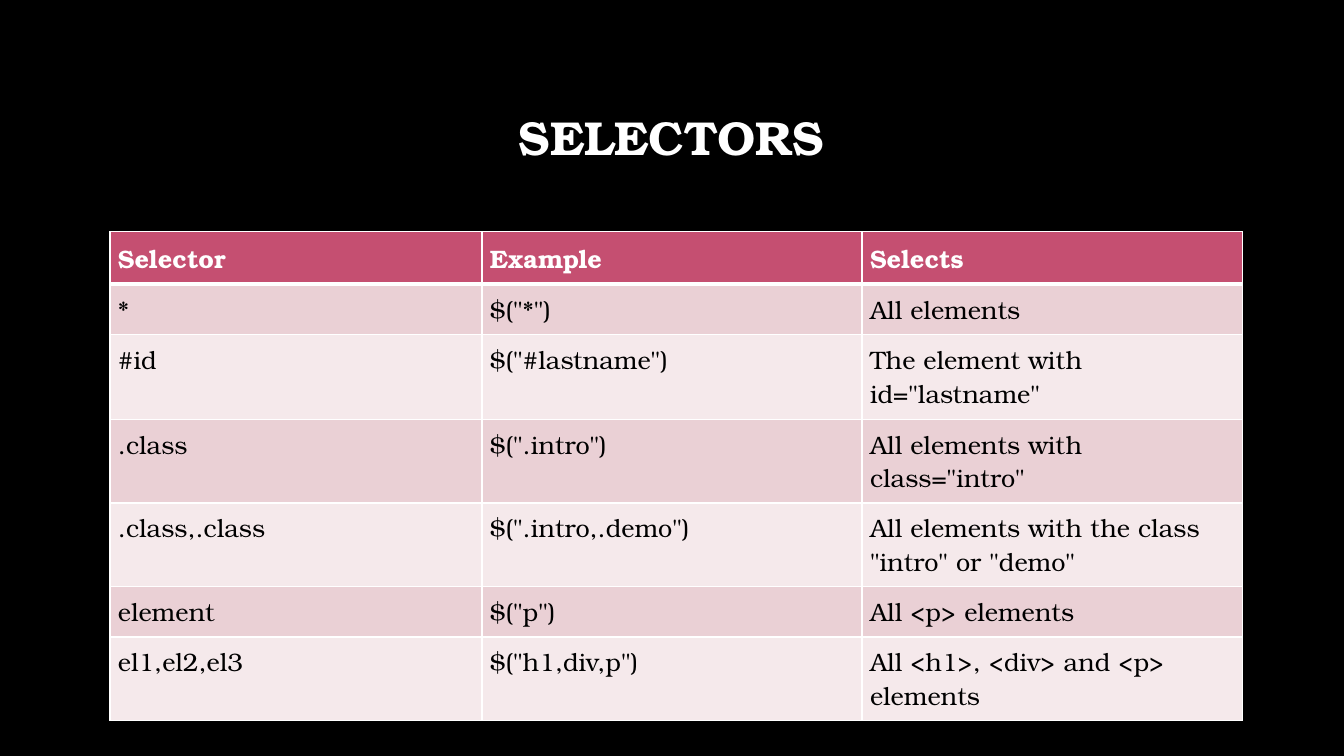
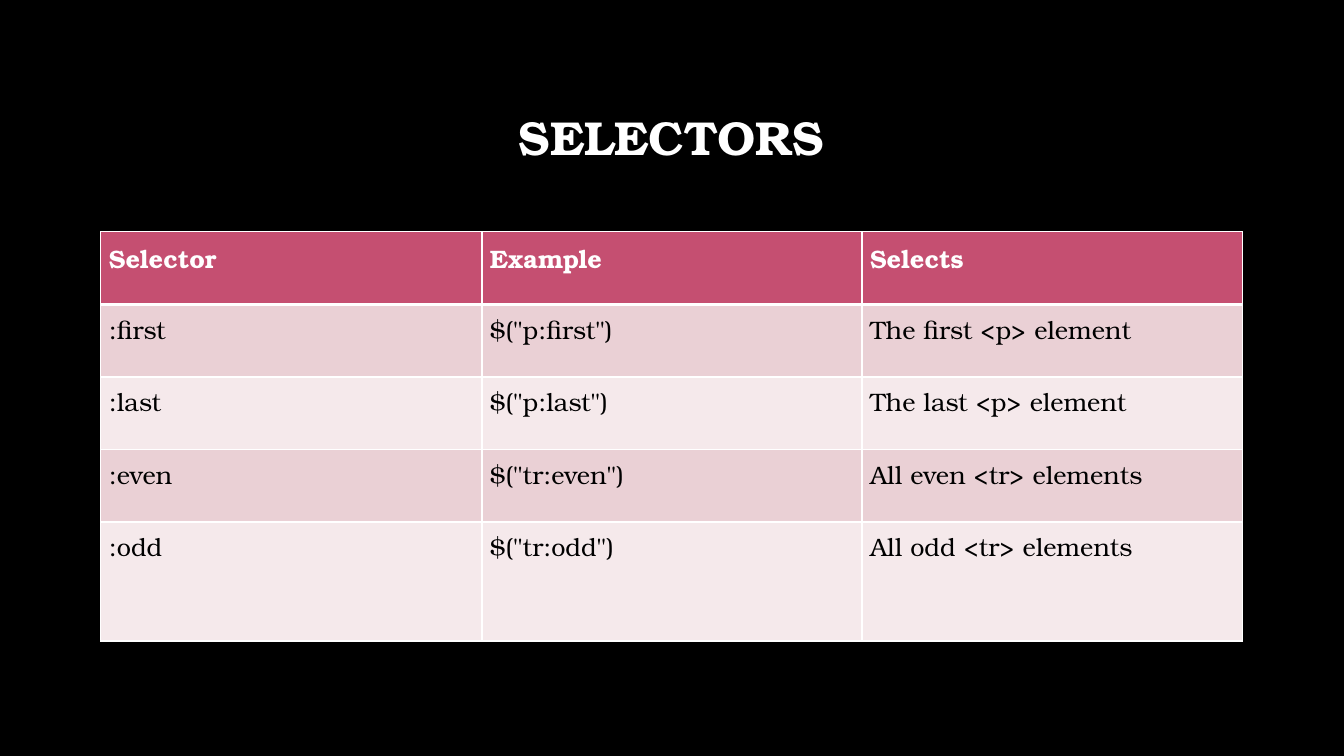
from pptx import Presentation
from pptx.dml.color import RGBColor
from pptx.enum.text import MSO_ANCHOR, PP_ALIGN
from pptx.oxml import parse_xml
from pptx.oxml.ns import nsdecls
from pptx.util import Inches, Pt

FONT = "TeX Gyre Bonum"
COLORS = {
    "background": "000000",
    "title": "FFFFFF",
    "border": "FFFFFF",
    "header": "C54F71",
    "header_text": "FFFFFF",
    "body_text": "000000",
    "odd": "EAD0D5",
    "even": "F5E9EB",
}
HEADER = ("Selector", "Example", "Selects")
SLIDES = [
    {
        "title": "SELECTORS",
        "cols": (3.69, 3.77, 3.77),
        "heights": (0.52, 0.5, 0.84, 0.83, 0.83, 0.5, 0.83),
        "rows": [
            ("*", '$("*")', "All elements"),
            ("#id", '$("#lastname")', 'The element with id="lastname"'),
            (".class", '$(".intro")', 'All elements with class="intro"'),
            (".class,.class", '$(".intro,.demo")',
             'All elements with the class "intro" or "demo"'),
            ("element", '$("p")', "All <p> elements"),
            ("el1,el2,el3", '$("h1,div,p")', "All <h1>, <div> and <p> elements"),
        ],
    },
    {
        "title": "SELECTORS",
        "cols": (3.78, 3.77, 3.77),
        "heights": (0.72,) * 4 + (1.18,),
        "rows": [
            (":first", '$("p:first")', "The first <p> element"),
            (":last", '$("p:last")', "The last <p> element"),
            (":even", '$("tr:even")', "All even <tr> elements"),
            (":odd", '$("tr:odd")', "All odd <tr> elements"),
        ],
    },
]
LEFT, TITLE_TOP, WIDTH, TITLE_HEIGHT = 1, 0.66, 11.32, 1.45
TABLE_TOP, CELL_INSET = 2.3, 0.08


def rgb(name):
    return RGBColor.from_string(COLORS[name])


def add_run(p, text, size, color, bold):
    r = p.add_run()
    r.text = text
    r.font.name = FONT
    r.font.size = Pt(size)
    r.font.bold = bold
    r.font.color.rgb = rgb(color)


def add_title(s, text):
    sp = s.shapes.add_textbox(Inches(LEFT), Inches(TITLE_TOP), Inches(WIDTH), Inches(TITLE_HEIGHT))
    tf = sp.text_frame
    tf.word_wrap = True
    tf.vertical_anchor = MSO_ANCHOR.MIDDLE
    p = tf.paragraphs[0]
    p.alignment = PP_ALIGN.CENTER
    p.line_spacing = 0.9
    add_run(p, text, 34, "title", True)


def set_borders(cell, top, bottom):
    tc_pr = cell._tc.get_or_add_tcPr()
    for side, width in (("L", 1), ("R", 1), ("T", top), ("B", bottom)):
        tc_pr.append(parse_xml(
            f'<a:ln{side} {nsdecls("a")} w="{Pt(width)}"><a:solidFill>'
            f'<a:srgbClr val="{COLORS["border"]}"/></a:solidFill></a:ln{side}>'))


def fill_cell(cell, text, row):
    is_header = row == 0
    cell.margin_left = cell.margin_right = Inches(CELL_INSET)
    cell.margin_top = cell.margin_bottom = Inches(CELL_INSET)
    set_borders(cell, top=3 if row == 1 else 1, bottom=3 if is_header else 1)
    cell.fill.solid()
    cell.fill.fore_color.rgb = rgb("header" if is_header else "odd" if row % 2 else "even")
    add_run(cell.text_frame.paragraphs[0], text, 18,
            "header_text" if is_header else "body_text", is_header)


def add_selector_table(s, cols, heights, rows):
    width = sum(cols)
    left = LEFT + WIDTH - width
    table = s.shapes.add_table(len(heights), len(cols), Inches(left), Inches(TABLE_TOP),
                               Inches(width), Inches(sum(heights))).table
    for column, col_width in zip(table.columns, cols):
        column.width = Inches(col_width)
    for i, (height, texts) in enumerate(zip(heights, [HEADER] + rows)):
        table.rows[i].height = Inches(height)
        for j, text in enumerate(texts):
            fill_cell(table.cell(i, j), text, i)


prs = Presentation()
prs.slide_width, prs.slide_height = Inches(13.33), Inches(7.5)
for content in SLIDES:
    s = prs.slides.add_slide(prs.slide_layouts[6])
    s.background.fill.solid()
    s.background.fill.fore_color.rgb = rgb("background")
    add_title(s, content["title"])
    add_selector_table(s, content["cols"], content["heights"], content["rows"])
prs.save("out.pptx")
